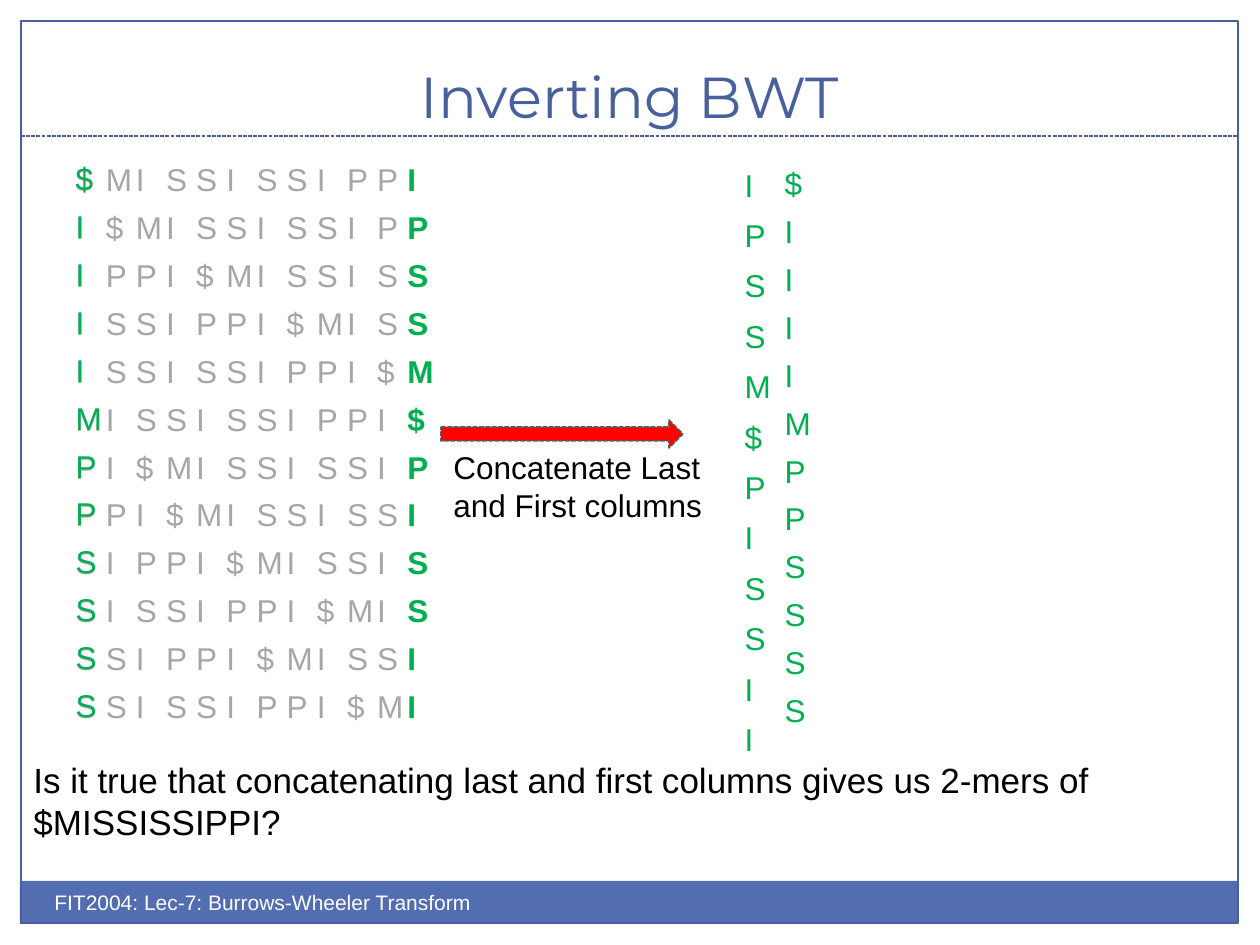
import pptx
import pptx.util
import pptx.dml.color
import pptx.enum.dml
import pptx.enum.shapes
import pptx.enum.text
import pptx.oxml
from dataclasses import dataclass

SCALE = 914400 // 126
SHAPE = pptx.enum.shapes.MSO_SHAPE
ANCHOR = pptx.enum.text.MSO_ANCHOR
ALIGN = pptx.enum.text.PP_ALIGN
DASH = pptx.enum.dml.MSO_LINE.SQUARE_DOT
PLAIN = "{2D5ABB26-0587-4C30-8999-92F81FD0307C}"


@dataclass(frozen=True)
class Theme:
    navy: str = "48609B"
    bar: str = "526DB0"
    green: str = "00B050"
    gray: str = "A6A6A6"
    red: str = "FF0000"
    edge: str = "5A5A5A"
    black: str = "000000"
    white: str = "FFFFFF"
    head: str = "Montserrat"
    font: str = "Arial"
    title: int = 33
    body: int = 20
    label: int = 18
    foot: int = 12


def px(*vals):
    return [pptx.util.Emu(v * SCALE) for v in vals]


def rgb(code):
    return pptx.dml.color.RGBColor.from_string(code)


class Deck:
    def __init__(self, theme):
        self.theme = theme
        self.show = pptx.Presentation()
        self.show.slide_width = pptx.util.Inches(10)
        self.show.slide_height = pptx.util.Inches(7.5)
        self.slide = self.show.slides.add_slide(self.show.slide_layouts[5])

    def run(self, para, text, size, color, font=None, bold=False):
        run = para.add_run()
        run.text = text
        run.font.size = pptx.util.Pt(size)
        run.font.name = font or self.theme.font
        run.font.bold = bold
        run.font.color.rgb = rgb(color)

    def stroke(self, line, color, width, dash=None):
        line.color.rgb = rgb(color)
        line.width = pptx.util.Pt(width)
        if dash:
            line.dash_style = dash

    def title(self, text, box):
        head = self.slide.shapes.title
        head.left, head.top, head.width, head.height = px(*box)
        frame = head.text_frame
        frame.vertical_anchor = ANCHOR.BOTTOM
        para = frame.paragraphs[0]
        para.alignment = ALIGN.CENTER
        self.run(para, text, self.theme.title, self.theme.navy, self.theme.head)

    def shape(self, kind, box, fill=None, line=None):
        item = self.slide.shapes.add_shape(kind, *px(*box))
        item.shadow.inherit = False
        if fill:
            item.fill.solid()
            item.fill.fore_color.rgb = rgb(fill)
        else:
            item.fill.background()
        if line:
            self.stroke(item.line, *line)
        else:
            item.line.fill.background()

    def rule(self, ends, line):
        kind = pptx.enum.shapes.MSO_CONNECTOR.STRAIGHT
        item = self.slide.shapes.add_connector(kind, *px(*ends))
        self.stroke(item.line, *line)
        tag = '<a:effectLst xmlns:a="http://schemas.openxmlformats.org/drawingml/2006/main"/>'
        item.element.spPr.append(pptx.oxml.parse_xml(tag))

    def text(self, lines, box, size, color, wrap=True, before=0):
        frame = self.slide.shapes.add_textbox(*px(*box)).text_frame
        frame.word_wrap = wrap
        for at, text in enumerate(lines):
            para = frame.add_paragraph() if at else frame.paragraphs[0]
            para.space_before = pptx.util.Pt(before)
            self.run(para, text, size, color)

    def grid(self, rows, left, top, high, color, last=None):
        wide = len(rows[0])
        x, y, w, h = px(left, top, 30 * wide, high)
        item = self.slide.shapes.add_table(len(rows), wide, x, y, w, h)
        table = item.table
        table.first_row = table.horz_banding = False
        item.element.xpath(".//a:tableStyleId")[0].text = PLAIN
        for col in table.columns:
            col.width = px(30)[0]
        for r, word in enumerate(rows):
            table.rows[r].height = h // len(rows)
            for c, char in enumerate(word):
                cell = table.cell(r, c)
                cell.fill.background()
                cell.margin_top = cell.margin_bottom = px(5)[0]
                cell.vertical_anchor = ANCHOR.MIDDLE
                para = cell.text_frame.paragraphs[0]
                para.alignment = ALIGN.CENTER
                mark = bool(last) and c == wide - 1
                self.run(para, char, self.theme.label, last if mark else color, bold=mark)


theme = Theme()
deck = Deck(theme)
word = "MISSISSIPPI$"
turns = sorted(word[k:] + word[:k] for k in range(len(word)))
first = [turn[0] for turn in turns]
final = [turn[-1] for turn in turns]

deck.shape(SHAPE.RECTANGLE, (20, 881, 1217, 43), theme.bar)
deck.shape(SHAPE.RECTANGLE, (21, 21, 1217, 902), line=(theme.navy, 0.75))
deck.rule((21, 136, 1238, 136), (theme.navy, 0.75, DASH))
deck.title("Inverting BWT", (42, 31, 1176, 105))
deck.text(["Is it true that concatenating last and first columns gives us 2-mers of $MISSISSIPPI?"],
          (21, 752, 1207, 110), theme.body, theme.black, before=4)
deck.text(["FIT2004: Lec-7: Burrows-Wheeler Transform"],
          (42, 883, 630, 50), theme.foot, theme.white)
deck.grid(turns, 63, 157, 575, theme.gray, theme.green)
deck.shape(SHAPE.RIGHT_ARROW, (441, 420, 242, 28), theme.red, (theme.edge, 0.9, DASH))
deck.grid(first, 63, 156, 575, theme.green)
deck.grid(first, 772, 161, 575, theme.green)
deck.text(["Concatenate Last", "and First columns"],
          (441, 442, 275, 89), theme.label, theme.black, wrap=False)
deck.grid(final, 732, 161, 605, theme.green)
deck.show.save("out.pptx")
